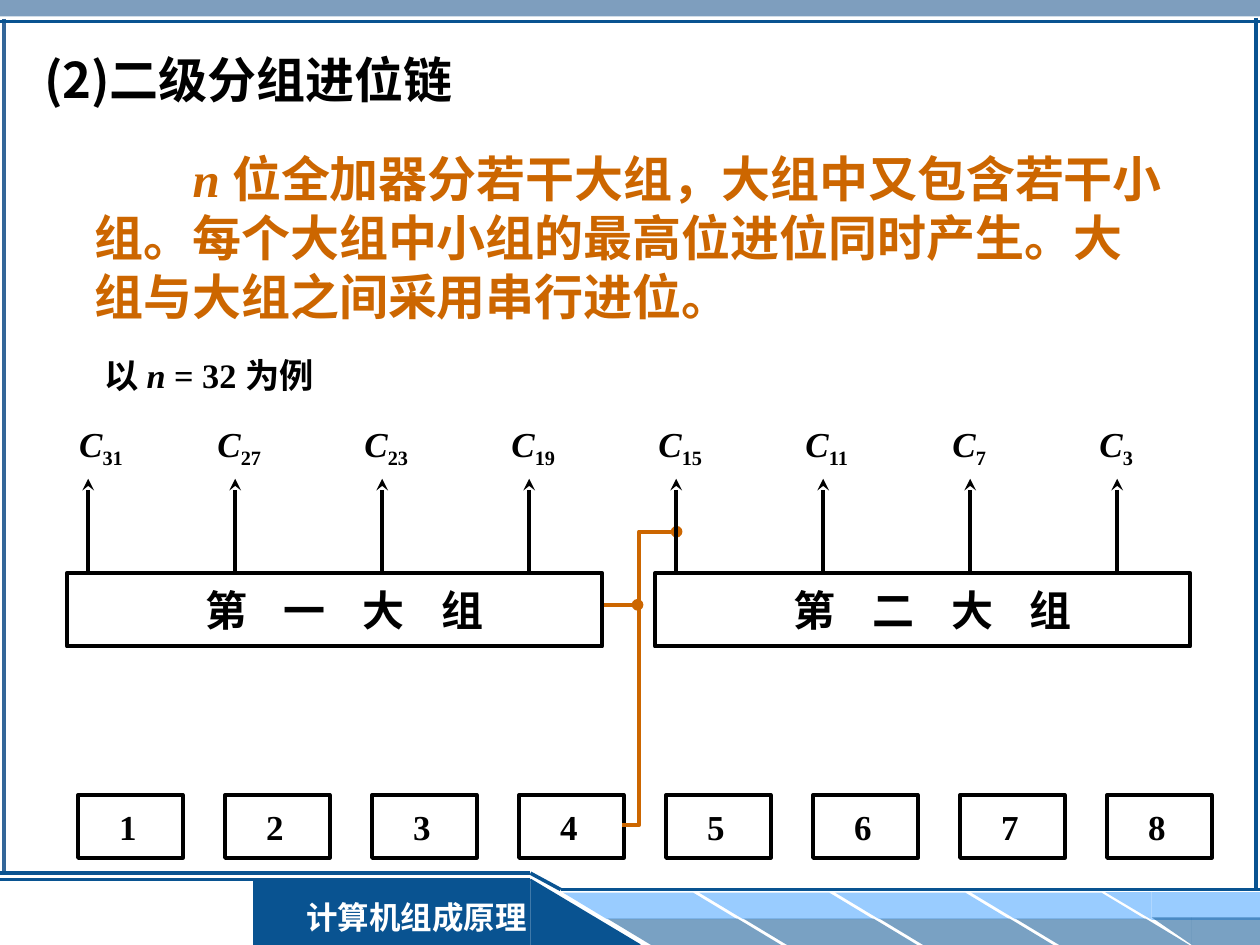
from lxml import etree
from pptx import Presentation
from pptx.dml.color import RGBColor
from pptx.enum.shapes import MSO_CONNECTOR, MSO_SHAPE
from pptx.enum.text import MSO_ANCHOR, MSO_AUTO_SIZE, PP_ALIGN
from pptx.oxml.ns import qn
from pptx.util import Inches, Pt

BLACK = RGBColor(0x00, 0x00, 0x00)
WHITE = RGBColor(0xFF, 0xFF, 0xFF)
ORANGE = RGBColor(0xCC, 0x66, 0x00)
STEEL = RGBColor(0x33, 0x66, 0x99)
NAVY = RGBColor(0x09, 0x53, 0x91)
SKY = RGBColor(0x99, 0xCC, 0xFF)
SERIF, SANS = "Times New Roman", "Noto Sans CJK SC"
PITCH = 7 / 6  # distance between neighbouring carry outputs


def add_block(slide, kind, box, fill=None, alpha=None, line=None):
    sp = slide.shapes.add_shape(kind, *map(Inches, box))
    sp.shadow.inherit = False
    if fill is None:
        sp.fill.background()
    else:
        sp.fill.solid()
        sp.fill.fore_color.rgb = fill
    if alpha:
        color = next(sp._element.spPr.iter(qn("a:srgbClr")))
        etree.SubElement(color, qn("a:alpha")).set("val", str(alpha * 1000))
    if line is None:
        sp.line.fill.background()
    else:
        sp.line.color.rgb = line
        sp.line.width = Pt(2.25)
    return sp


def add_end(sp, kind):
    etree.SubElement(sp.line._get_or_add_ln(), qn("a:tailEnd")).set("type", kind)


def add_line(slide, start, end, color, width, end_mark=None):
    cn = slide.shapes.add_connector(
        MSO_CONNECTOR.STRAIGHT, *map(Inches, (*start, *end)))
    cn.line.color.rgb = color
    cn.line.width = Pt(width)
    if end_mark:
        add_end(cn, end_mark)
    etree.SubElement(cn._element.spPr, qn("a:effectLst"))


def write(sp, parts, size, color=BLACK, font=SERIF, insets=(0.1, 0.05, 0.1, 0.05),
          anchor=MSO_ANCHOR.MIDDLE, align=PP_ALIGN.LEFT, wrap=True):
    """Fill a shape with one bold paragraph; parts are (text, italic) pairs."""
    tf = sp.text_frame
    tf.word_wrap = wrap
    tf.auto_size = MSO_AUTO_SIZE.NONE
    tf.vertical_anchor = anchor
    tf.margin_left, tf.margin_top, tf.margin_right, tf.margin_bottom = map(Inches, insets)
    p = tf.paragraphs[0]
    p.alignment = align
    for text, italic in parts:
        r = p.add_run()
        r.text = text
        r.font.size, r.font.name = Pt(size), font
        r.font.bold, r.font.italic = True, italic
        r.font.color.rgb = color
        etree.SubElement(r._r.get_or_add_rPr(), qn("a:ea")).set("typeface", SANS)
    return p


def add_text(slide, box, parts, size, **style):
    return write(slide.shapes.add_textbox(*map(Inches, box)), parts, size, **style)


def draw_frame(slide, width, height):
    add_block(slide, MSO_SHAPE.RECTANGLE, (0, 0, width, 0.13), STEEL, 63)
    add_line(slide, (0.03, 0.15), (0.03, 6.93), STEEL, 2)
    draw_footer(slide, 6.93, width, height)
    add_line(slide, (0, 0.17), (width, 0.17), NAVY, 2)
    add_line(slide, (width - 0.03, 0.14), (width - 0.03, 7.07), NAVY, 2)


def draw_footer(slide, top, width, bottom):
    tab_top, tab_right, band_top = top + 0.05, 4.21, top + 0.13
    add_block(slide, MSO_SHAPE.RECTANGLE,
              (2.01, tab_top, 2.2, bottom - tab_top), NAVY)
    add_line(slide, (5.08, bottom), (tab_right, tab_top), NAVY, 1)
    add_line(slide, (tab_right, tab_top), (0, tab_top), NAVY, 1.5)
    add_line(slide, (0, top), (tab_right, top), NAVY, 2)
    for i in range(4):
        left = 4.47 + 1.08 * i
        for x, y, color, alpha in ((left, top + 0.155, SKY, None),
                                   (left + 0.35, top + 0.36, NAVY, 54)):
            sp = add_block(slide, MSO_SHAPE.PARALLELOGRAM, (x, y, 1.38, 0.21), color, alpha)
            sp.adjustments[0] = 1.657
            sp._element.spPr.find(qn("a:xfrm")).set("flipH", "1")
    for left, y, corner, height, color, alpha in (
            (9.14, top + 0.15, 0.37, 0.22, SKY, None),
            (9.46, top + 0.35, 0.32, 0.22, NAVY, 54)):
        add_block(slide, MSO_SHAPE.RECTANGLE, (left, y, width - left, height), color, alpha)
        sp = add_block(slide, MSO_SHAPE.RIGHT_TRIANGLE,
                       (left - corner, y, corner, height), color, alpha)
        sp.rotation = 180
    add_line(slide, (4.45, band_top), (width, band_top), NAVY, 2)
    add_block(slide, MSO_SHAPE.RIGHT_TRIANGLE,
              (tab_right, tab_top, 0.87, bottom - tab_top), NAVY)
    add_line(slide, (tab_right, top), (4.45, band_top), NAVY, 2)
    add_text(slide, (2.28, top + 0.15, 2.05, 0.4), [("计算机组成原理", False)], 18,
             color=WHITE, align=PP_ALIGN.CENTER)


def place_title(slide, box):
    title = slide.shapes.title
    title.left, title.top, title.width, title.height = map(Inches, box)
    write(title, [("(2)二级分组进位链", False)], 28, font=SANS)


def place_explanation(slide, box):
    left, top, width, height = box
    p = add_text(slide, box, [
        ("n ", True),
        ("位全加器分若干大组，大组中又包含若干小组。每个大组中小组的最高位进位同时产生。"
         "大组与大组之间采用串行进位。", False)], 28, color=ORANGE, insets=(0, 0, 0, 0))
    p._p.get_or_add_pPr().set("indent", str(Inches(0.78)))
    p = add_text(slide, (left + 0.08, top + 1.89, 2.76, 0.39),
                 [("以 ", False), ("n", True), (" = 32 为例", False)], 19.6,
                 insets=(0, 0, 0, 0))
    p.line_spacing = 0.8


def draw_large_group(slide, box, name, carries):
    """A large group's box with one labelled carry arrow per small group."""
    left, top, _, _ = box
    sp = add_block(slide, MSO_SHAPE.RECTANGLE, box, line=BLACK)
    p = write(sp, [(name, False)], 24, insets=(0.16, 0.05, 0, 0.05),
              align=PP_ALIGN.CENTER)
    p.runs[0]._r.get_or_add_rPr().set("spc", "785")
    for i, carry in enumerate(carries):
        x = left + 0.17 + PITCH * i
        add_line(slide, (x, top), (x, top - 0.75), BLACK, 2.25, "stealth")
        label_left = x - 0.24 if x > 1 else left
        p = add_text(slide, (label_left, top - 1.25, 0.55, 0.48),
                     [("C", True), (str(carry), False)], 20,
                     anchor=MSO_ANCHOR.TOP, wrap=False)
        p.runs[1]._r.get_or_add_rPr().set("baseline", "-25000")


def draw_small_groups(slide, left, top):
    for i in range(8):
        sp = add_block(slide, MSO_SHAPE.RECTANGLE,
                       (left + PITCH * i, top, 0.83, 0.5), line=BLACK)
        write(sp, [(str(i + 1), False)], 20, insets=(0, 0, 0.04, 0),
              align=PP_ALIGN.CENTER)


def draw_carry_link(slide):
    """Carry from the second large group into the first and into small group 4."""
    add_line(slide, (4.78, 4.8), (5.06, 4.8), ORANGE, 2.25, "oval")
    points = [(4.94, 6.55), (5.07, 6.55), (5.07, 4.22), (5.37, 4.22)]
    start, *rest = [tuple(map(Inches, pt)) for pt in points]
    fb = slide.shapes.build_freeform(*start)
    fb.add_line_segments(rest, close=False)
    sp = fb.convert_to_shape()
    sp.shadow.inherit = False
    sp.fill.background()
    sp.line.color.rgb = ORANGE
    sp.line.width = Pt(2.25)
    add_end(sp, "oval")


def main():
    prs = Presentation()
    prs.slide_width, prs.slide_height = Inches(10), Inches(7.5)
    slide = prs.slides.add_slide(prs.slide_layouts[5])
    draw_frame(slide, 10, 7.5)
    place_title(slide, (0.25, 0.25, 7.92, 0.75))
    place_explanation(slide, (0.75, 0.92, 8.5, 1.92))
    draw_small_groups(slide, 0.62, 6.31)
    draw_carry_link(slide)
    groups = [("第 一 大 组", range(31, 15, -4)), ("第 二 大 组", range(15, 0, -4))]
    for i, (name, carries) in enumerate(groups):
        draw_large_group(slide, (0.53 + 4 * PITCH * i, 4.55, 4.25, 0.58), name, carries)
    prs.save("out.pptx")


if __name__ == "__main__":
    main()
